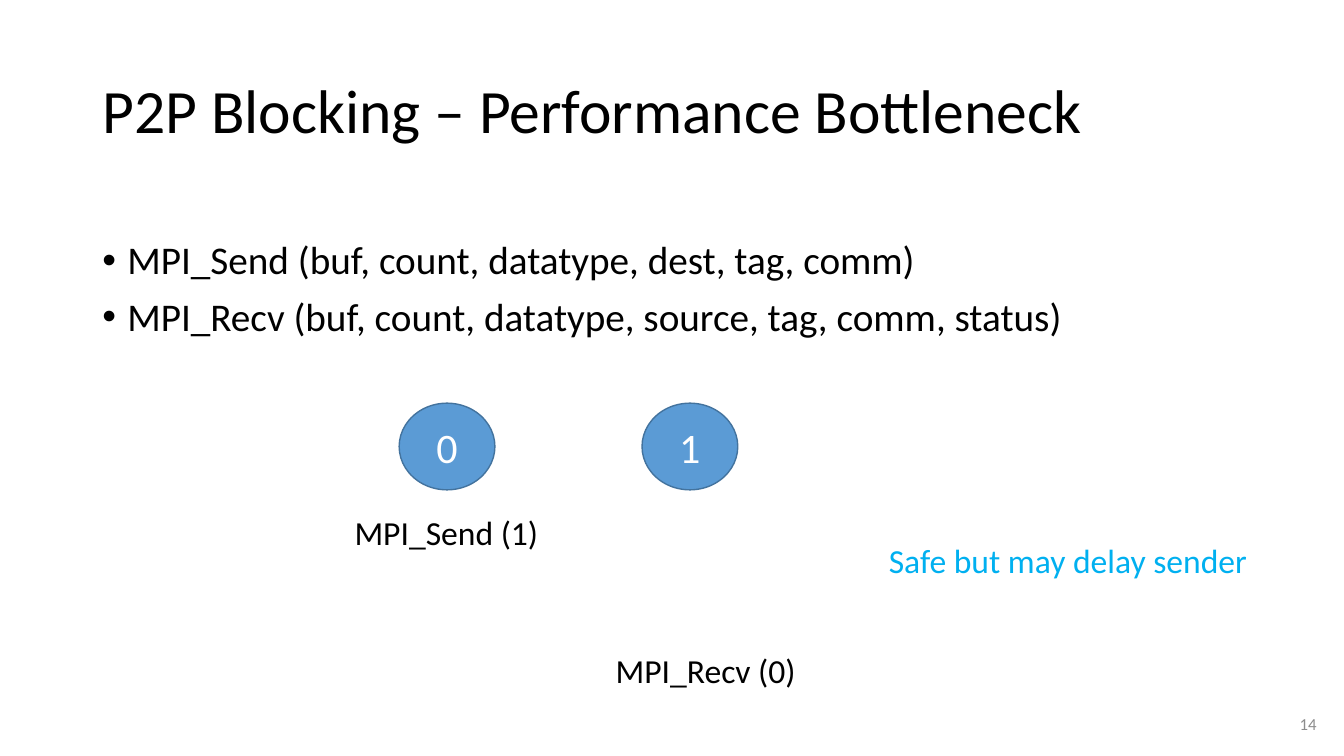
from lxml import etree
from pptx import Presentation
from pptx.dml.color import RGBColor
from pptx.enum import shapes, text
from pptx.oxml import ns
from pptx.util import Pt

BLACK = RGBColor(0x00, 0x00, 0x00)
WHITE = RGBColor(0xFF, 0xFF, 0xFF)
GRAY = RGBColor(0x8C, 0x8C, 0x8C)
CYAN = RGBColor(0x00, 0xB0, 0xF0)
BLUE = RGBColor(0x5B, 0x9B, 0xD5)
DARK_BLUE = RGBColor(0x43, 0x73, 0x9E)
FONT = "Calibri"
LEFT, CENTER, RIGHT = text.PP_ALIGN.LEFT, text.PP_ALIGN.CENTER, text.PP_ALIGN.RIGHT

TITLE = "P2P Blocking – Performance Bottleneck"
CALLS = [
    "MPI_Send (buf, count, datatype, dest, tag, comm)",
    "MPI_Recv (buf, count, datatype, source, tag, comm, status)",
]
RANKS = ["0", "1"]
# text, left, top, width, colour
LABELS = [
    ("MPI_Send (1)", 246.2, 362.2, 146.9, BLACK),
    ("MPI_Recv (0)", 432.7, 460.8, 144, BLACK),
    ("Safe but may delay sender", 627.8, 382.3, 272.9, CYAN),
]
PAGE = "14"

MARGIN, CONTENT_W = 66, 828
RANK_LEFT, RANK_TOP, RANK_STEP = 285.1, 288, 173.5
RANK_W, RANK_H = 68.4, 61.9


def write(p, words, size, color, align=LEFT):
    p.alignment = align
    r = p.add_run()
    r.text = words
    r.font.name, r.font.size = FONT, Pt(size)
    r.font.color.rgb = color


def add_box(s, left, top, width, height, wrap=True):
    box = s.shapes.add_textbox(Pt(left), Pt(top), Pt(width), Pt(height))
    box.text_frame.word_wrap = wrap
    return box.text_frame


def add_bullet(p, indent):
    pPr = p._p.get_or_add_pPr()
    pPr.set("marL", str(Pt(indent)))
    pPr.set("indent", str(-Pt(indent)))
    etree.SubElement(pPr, ns.qn("a:buFont"), typeface="Arial")
    etree.SubElement(pPr, ns.qn("a:buChar"), char="•")


def add_title(s):
    sp = s.shapes.title
    sp.left, sp.top, sp.width, sp.height = Pt(MARGIN), Pt(28.8), Pt(CONTENT_W), Pt(104.4)
    tf = sp.text_frame
    tf.auto_size = text.MSO_AUTO_SIZE.NONE
    tf.vertical_anchor = text.MSO_ANCHOR.MIDDLE
    p = tf.paragraphs[0]
    p.line_spacing = 0.9
    write(p, TITLE, 44, BLACK)


def add_calls(s):
    tf = add_box(s, MARGIN, 168.5, CONTENT_W, 92.2)
    for i, call in enumerate(CALLS):
        p = tf.add_paragraph() if i else tf.paragraphs[0]
        p.line_spacing, p.space_before = 0.9, Pt(10)
        add_bullet(p, 18)
        write(p, call, 28, BLACK)


def add_rank(s, index, rank):
    sp = s.shapes.add_shape(shapes.MSO_SHAPE.OVAL, Pt(RANK_LEFT + index * RANK_STEP),
                            Pt(RANK_TOP), Pt(RANK_W), Pt(RANK_H))
    sp.shadow.inherit = False
    sp.fill.solid()
    sp.fill.fore_color.rgb = BLUE
    sp.line.color.rgb, sp.line.width = DARK_BLUE, Pt(1)
    sp.text_frame.vertical_anchor = text.MSO_ANCHOR.MIDDLE
    write(sp.text_frame.paragraphs[0], rank, 30, WHITE, CENTER)


def main():
    prs = Presentation()
    prs.slide_width, prs.slide_height = Pt(960), Pt(540)
    s = prs.slides.add_slide(prs.slide_layouts[5])
    add_title(s)
    add_calls(s)
    for i, rank in enumerate(RANKS):
        add_rank(s, i, rank)
    for words, left, top, width, color in LABELS:
        tf = add_box(s, left, top, width, 36, wrap=False)
        tf.auto_size = text.MSO_AUTO_SIZE.SHAPE_TO_FIT_TEXT
        write(tf.paragraphs[0], words, 24, color)
    tf = add_box(s, 731.5, 502.6, 216, 28.8)
    tf.vertical_anchor = text.MSO_ANCHOR.MIDDLE
    write(tf.paragraphs[0], PAGE, 12, GRAY, RIGHT)
    prs.save("out.pptx")


if __name__ == "__main__":
    main()
